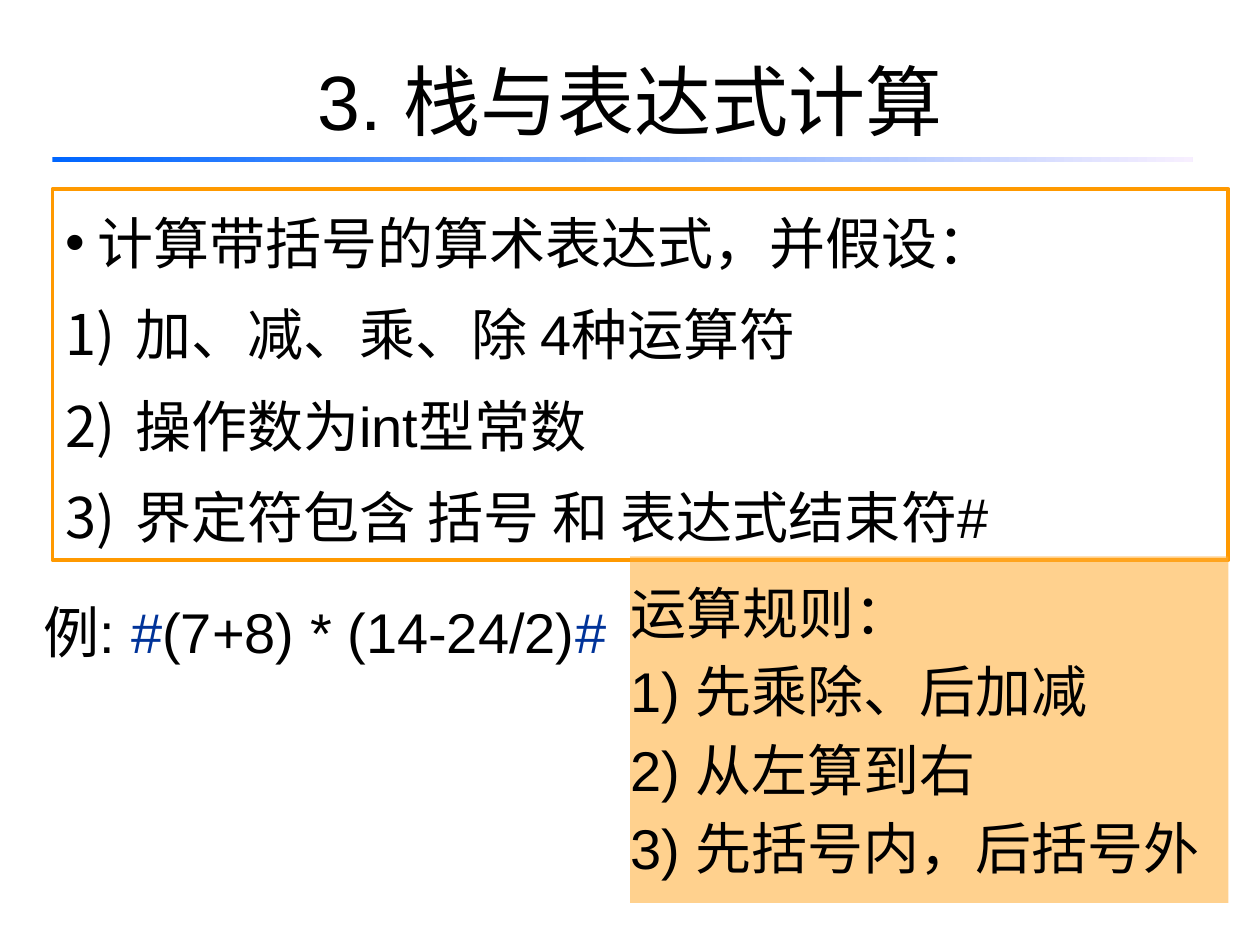
from lxml import etree
from pptx import Presentation
from pptx.dml.color import RGBColor
from pptx.enum.shapes import MSO_SHAPE
from pptx.enum.text import MSO_ANCHOR, MSO_AUTO_SIZE, PP_ALIGN
from pptx.oxml.ns import qn
from pptx.util import Pt

RECTANGLE = MSO_SHAPE.RECTANGLE
TOP, MIDDLE = MSO_ANCHOR.TOP, MSO_ANCHOR.MIDDLE
CENTER, JUSTIFY = PP_ALIGN.CENTER, PP_ALIGN.JUSTIFY
NO_FIT = MSO_AUTO_SIZE.NONE
BLACK, NAVY, ORANGE = "000000", "003399", "FF9900"


def color(hex_text):
    return RGBColor.from_string(hex_text)


def write_para(para, pieces, size=32, hanging=0, **spacing):
    """Fill a paragraph with (text, colour) pieces and set its hanging indent."""
    for name, value in {"alignment": JUSTIFY, **spacing}.items():
        setattr(para, name, value)
    properties = para._p.get_or_add_pPr()
    properties.set("marL", str(Pt(hanging)))
    properties.set("indent", str(-Pt(hanging)))
    for text, hex_text in pieces:
        span = para.add_run()
        span.text = text
        span.font.name = "Arial"
        span.font.size = Pt(size)
        span.font.color.rgb = color(hex_text)
    return properties


deck = Presentation()
deck.slide_width, deck.slide_height = Pt(720), Pt(540)
page = deck.slides.add_slide(deck.slide_layouts[1])

# Title and the fading rule below it
title = page.shapes.title
title.left, title.top, title.width, title.height = Pt(36), Pt(12.24), Pt(648), Pt(90)
title.text_frame.vertical_anchor = MIDDLE
write_para(title.text_frame.paragraphs[0], [("3. 栈与表达式计算", BLACK)], size=44, alignment=CENTER)

rule = page.shapes.add_shape(RECTANGLE, Pt(30), Pt(89.5), Pt(651.6), Pt(3))
rule.shadow.inherit = False
rule.line.fill.background()
rule.fill.gradient()
rule.fill.gradient_angle = 0
for stop, hex_text in zip(rule.fill.gradient_stops, ("0066FF", "F7EFFF")):
    stop.color.rgb = color(hex_text)

# Framed assumptions: one bullet, then a numbered list
assumptions = page.placeholders[1]
assumptions.left, assumptions.top = Pt(30), Pt(108)
assumptions.width, assumptions.height = Pt(672), Pt(212)
assumptions.line.color.rgb = color(ORANGE)
assumptions.line.width = Pt(2.25)
frame = assumptions.text_frame
frame.auto_size = NO_FIT
frame.vertical_anchor = TOP
lines = [
    " 计算带括号的算术表达式，并假设：",
    "加、减、乘、除 4种运算符",
    "操作数为int型常数",
    "界定符包含 括号 和 表达式结束符#",
]
for index, line in enumerate(lines):
    para = frame.paragraphs[0] if index == 0 else frame.add_paragraph()
    properties = write_para(para, [(line, BLACK)], hanging=40 if index else 0,
                            line_spacing=1.2, space_before=Pt(6 if index else 0))
    if index:
        etree.SubElement(properties, qn("a:buAutoNum"), type="arabicParenR")
    else:
        etree.SubElement(properties, qn("a:buChar"), char="•")

# Example expression
example = page.shapes.add_textbox(Pt(18), Pt(330), Pt(348), Pt(54))
example.text_frame.word_wrap = True
write_para(
    example.text_frame.paragraphs[0],
    [("例: ", BLACK), ("#", NAVY), ("(7+8) * (14-24/2)", BLACK), ("#", NAVY)],
    hanging=40, line_spacing=1.2,
)

# Evaluation rules on a translucent panel
panel = page.shapes.add_shape(RECTANGLE, Pt(360), Pt(318), Pt(342), Pt(198))
panel.shadow.inherit = False
panel.line.fill.background()
panel.fill.solid()
panel.fill.fore_color.rgb = color("FFAE37")
fill_color = panel._element.spPr.find(".//" + qn("a:srgbClr"))
etree.SubElement(fill_color, qn("a:alpha"), val="56000")
frame = panel.text_frame
frame.word_wrap = True
frame.vertical_anchor = MIDDLE
frame.margin_left = frame.margin_right = 0
rules = ["运算规则：", "1) 先乘除、后加减", "2) 从左算到右", "3) 先括号内，后括号外"]
for index, line in enumerate(rules):
    para = frame.add_paragraph() if index else frame.paragraphs[0]
    write_para(para, [(line, BLACK)], hanging=27, space_before=Pt(6.4 if index else 18))

deck.save("out.pptx")
